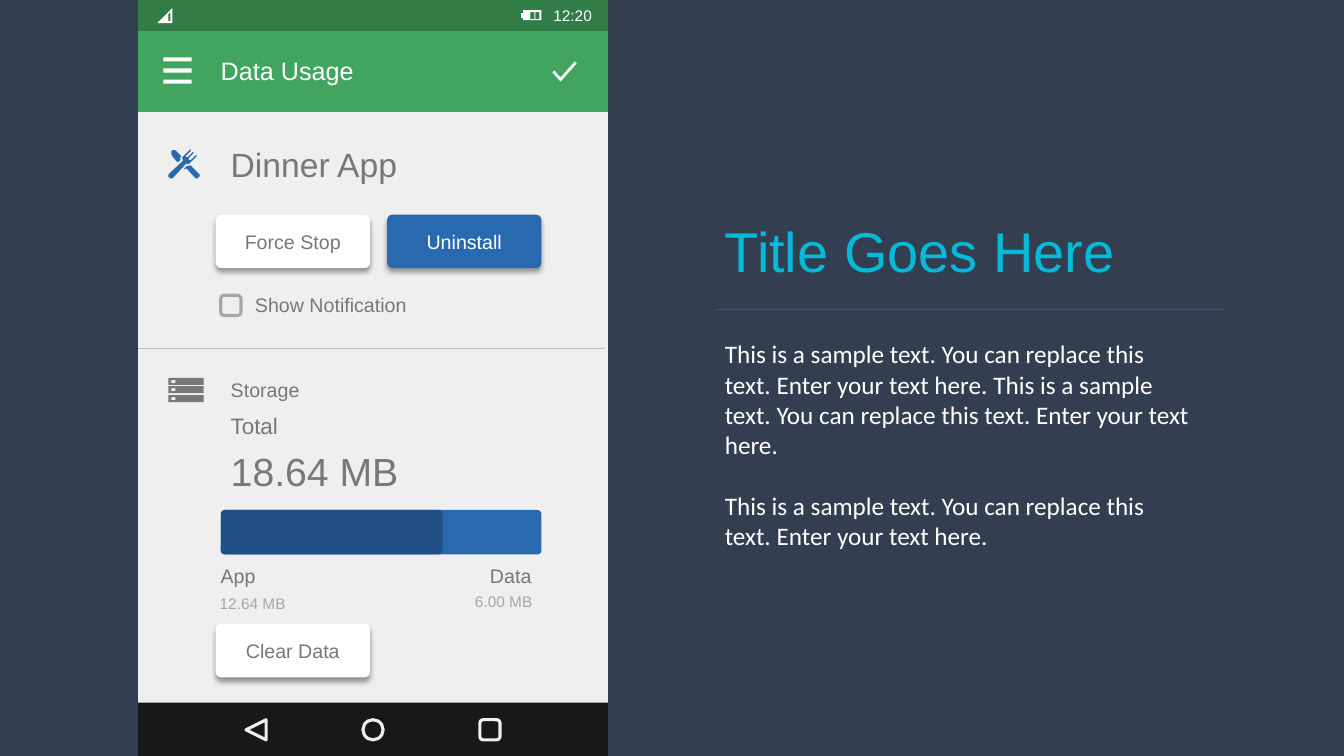
from lxml.etree import SubElement
from pptx import Presentation
from pptx.dml.color import RGBColor
from pptx.enum.shapes import MSO_CONNECTOR, MSO_SHAPE
from pptx.enum.text import MSO_ANCHOR, MSO_AUTO_SIZE, PP_ALIGN
from pptx.oxml.ns import qn
from pptx.util import Inches, Pt

WHITE, GREY, PALE_GREY, SCREEN = "FFFFFF", "787878", "A6A6A6", "EFEFEF"
BLUE, DARK_BLUE = "2969B0", "1F4F84"
PHONE_LEFT, PHONE_WIDTH = 1.37, 4.66
LEFT, CENTER, RIGHT = PP_ALIGN.LEFT, PP_ALIGN.CENTER, PP_ALIGN.RIGHT
rgb = RGBColor.from_string


def paint(shape, fill=None, line=None):
    """Give a shape a flat fill and outline, either of which may be absent."""
    if fill:
        shape.fill.solid()
        shape.fill.fore_color.rgb = rgb(fill)
    else:
        shape.fill.background()
    if line:
        shape.line.color.rgb = rgb(line)
        shape.line.width = Pt(2.25)
    else:
        shape.line.fill.background()
    shape.shadow.inherit = False


def write(shape, text, size=14, color=GREY, font="Arial", align=LEFT,
          anchor=MSO_ANCHOR.TOP, wrap=True, gap=0):
    """Fill a shape with one paragraph per line of text, gap points apart."""
    frame = shape.text_frame
    frame.text = text
    frame.word_wrap = wrap
    frame.auto_size = MSO_AUTO_SIZE.NONE
    frame.vertical_anchor = anchor
    for index, paragraph in enumerate(frame.paragraphs):
        paragraph.alignment = align
        paragraph.space_before = Pt(gap if index else 0)
        paragraph.font.size = Pt(size)
        paragraph.font.name = font
        paragraph.font.color.rgb = rgb(color)


prs = Presentation()
prs.slide_width, prs.slide_height = Inches(13.33), Inches(7.5)
slide = prs.slides.add_slide(prs.slide_layouts[5])
slide.background.fill.solid()
slide.background.fill.fore_color.rgb = rgb("333F50")
shapes = slide.shapes

# Phone body: screen, status bar, app bar, navigation bar
for top, height, color in [(1.09, 6.41, SCREEN), (0, 0.31, "317C47"),
                           (0.31, 0.8, "41A55F"), (6.97, 0.53, "181818")]:
    band = shapes.add_shape(MSO_SHAPE.RECTANGLE, Inches(PHONE_LEFT), Inches(top),
                            Inches(PHONE_WIDTH), Inches(height))
    paint(band, color)

# Icons, each a list of contours; inner contours are holes
signal = [[(1.71, 0.08), (1.71, 0.23), (1.56, 0.23)],
          [(1.69, 0.12), (1.67, 0.14), (1.67, 0.21), (1.69, 0.21)]]
battery = [[(5.17, 0.18), (5.17, 0.13), (5.19, 0.13), (5.19, 0.1),
            (5.37, 0.1), (5.37, 0.2), (5.19, 0.2), (5.19, 0.18)]]
battery += [[(x, 0.12), (x + 0.04, 0.12), (x + 0.04, 0.19), (x, 0.19)]
            for x in (5.26, 5.31)]
menu = [[(1.62, y), (1.9, y), (1.9, y + 0.04), (1.62, y + 0.04)]
        for y in (0.57, 0.68, 0.79)]
check = [[(5.7, 0.61), (5.72, 0.63), (5.56, 0.81), (5.48, 0.72),
          (5.5, 0.7), (5.56, 0.77)]]
knife_handle = [[(1.89, 1.64), (1.98, 1.73), (1.98, 1.75), (1.96, 1.77),
                 (1.94, 1.77), (1.85, 1.67), (1.83, 1.68), (1.82, 1.68),
                 (1.85, 1.65)]]
knife_blade = [[(1.73, 1.49), (1.74, 1.49), (1.8, 1.55), (1.79, 1.56),
                (1.79, 1.59), (1.76, 1.61), (1.71, 1.55), (1.7, 1.53),
                (1.7, 1.5), (1.71, 1.49)]]
fork = [[(1.89, 1.48), (1.89, 1.5), (1.84, 1.55), (1.85, 1.56), (1.86, 1.56),
         (1.91, 1.51), (1.92, 1.51), (1.92, 1.52), (1.87, 1.57), (1.87, 1.58),
         (1.88, 1.59), (1.89, 1.59), (1.94, 1.54), (1.95, 1.54), (1.95, 1.55),
         (1.88, 1.62), (1.86, 1.63), (1.85, 1.62), (1.71, 1.77), (1.69, 1.77),
         (1.67, 1.75), (1.67, 1.73), (1.82, 1.59), (1.81, 1.58), (1.81, 1.56)]]
drives = []
for y in (3.75, 3.83, 3.92):
    drives.append([(1.67, y), (2.02, y), (2.02, y + 0.07), (1.67, y + 0.07)])
    drives.append([(1.7, y + 0.02), (1.74, y + 0.02),
                   (1.74, y + 0.05), (1.7, y + 0.05)])

for contours, color in [(signal, WHITE), (battery, WHITE), (menu, WHITE),
                        (check, WHITE), (knife_handle, BLUE),
                        (knife_blade, BLUE), (fork, BLUE), (drives, GREY)]:
    outline = None
    for contour in contours:
        start, *rest = [(Inches(x), Inches(y)) for x, y in contour]
        if outline is None:
            outline = shapes.build_freeform(*start)
        else:
            outline.move_to(*start)
        outline.add_line_segments(rest, close=True)
    paint(outline.convert_to_shape(), color)

# Labels on the phone
for text, left, top, width, height, style in [
    ("12:20", 5.32, 0.01, 0.65, 0.29, dict(size=11, color=WHITE, align=RIGHT)),
    ("Data Usage", 2.09, 0.5, 1.63, 0.4, dict(size=18, color=WHITE)),
    ("Dinner App", 2.19, 1.38, 2.76, 0.5, dict(size=24)),
    ("Show Notification", 2.43, 2.86, 1.72, 0.34, dict(wrap=False)),
    ("Storage", 2.19, 3.7, 0.89, 0.34, dict(wrap=False)),
    ("Total", 2.19, 4.04, 0.67, 0.37, dict(size=16, wrap=False)),
    ("18.64 MB", 2.19, 4.39, 1.88, 0.57, dict(size=28, wrap=False)),
    ("App", 2.09, 5.55, 0.55, 0.34, dict(wrap=False)),
    ("Data", 4.75, 5.55, 0.62, 0.34, dict(align=RIGHT, wrap=False)),
    ("12.64 MB", 2.08, 5.84, 0.86, 0.29,
     dict(size=11, color=PALE_GREY, wrap=False)),
    ("6.00 MB", 4.6, 5.82, 0.78, 0.29,
     dict(size=11, color=PALE_GREY, align=RIGHT, wrap=False)),
]:
    label = shapes.add_textbox(Inches(left), Inches(top), Inches(width), Inches(height))
    write(label, text, **style)

# Raised buttons
for text, left, top, fill, color in [("Force Stop", 2.14, 2.13, WHITE, GREY),
                                     ("Uninstall", 3.84, 2.13, BLUE, WHITE),
                                     ("Clear Data", 2.14, 6.19, WHITE, GREY)]:
    button = shapes.add_shape(MSO_SHAPE.ROUNDED_RECTANGLE, Inches(left), Inches(top),
                              Inches(1.53), Inches(0.53))
    button.adjustments[0] = 0.1
    paint(button, fill)
    write(button, text, color=color, align=CENTER, anchor=MSO_ANCHOR.MIDDLE)
    effects = button._element.spPr.find(qn("a:effectLst"))
    shadow = SubElement(effects, qn("a:outerShdw"), blurRad=str(Pt(4)), dist=str(Pt(3)),
                        dir="5400000", algn="t", rotWithShape="0")
    black = SubElement(shadow, qn("a:srgbClr"), val="000000")
    SubElement(black, qn("a:alpha"), val="40000")

# Storage bar: whole, then the part used by the app
for width, color in [(3.18, BLUE), (2.2, DARK_BLUE)]:
    bar = shapes.add_shape(MSO_SHAPE.ROUNDED_RECTANGLE, Inches(2.19), Inches(5.06),
                           Inches(width), Inches(0.44))
    bar.adjustments[0] = 0.09
    paint(bar, color)

# Checkbox and the back, home and recent keys
for kind, left, top, color, turn in [
    (MSO_SHAPE.ROUNDED_RECTANGLE, 2.19, 2.93, PALE_GREY, 0),
    (MSO_SHAPE.ISOSCELES_TRIANGLE, 2.44, 7.14, SCREEN, 270),
    (MSO_SHAPE.OVAL, 3.6, 7.14, SCREEN, 0),
    (MSO_SHAPE.ROUNDED_RECTANGLE, 4.76, 7.14, SCREEN, 0),
]:
    key = shapes.add_shape(kind, Inches(left), Inches(top), Inches(0.2), Inches(0.2))
    key.rotation = turn
    paint(key, line=color)

# Dividers on the phone and under the title
for left, right, y, color in [(PHONE_LEFT, 6, 3.46, "BFBFBF"),
                              (7.09, 12.15, 3.07, "44546A")]:
    divider = shapes.add_connector(MSO_CONNECTOR.STRAIGHT, Inches(left), Inches(y),
                                   Inches(right), Inches(y))
    divider.line.color.rgb = rgb(color)
    divider.line.width = Pt(0.5)
    SubElement(divider._element.spPr, qn("a:effectLst"))

# Title and body
title = shapes.title
title.left, title.top = Inches(7.09), Inches(2.1)
title.width, title.height = Inches(5.06), Inches(0.77)
write(title, "Title Goes Here", size=40, color="03BAD9")

body = shapes.add_textbox(Inches(7.09), Inches(3.31), Inches(4.81), Inches(2.52))
write(body,
      "This is a sample text. You can replace this text. Enter your text here. "
      "This is a sample text. You can replace this text. Enter your text here.\n"
      "This is a sample text. You can replace this text. Enter your text here.",
      size=18, color=WHITE, font="Calibri", gap=22)

prs.save("out.pptx")
